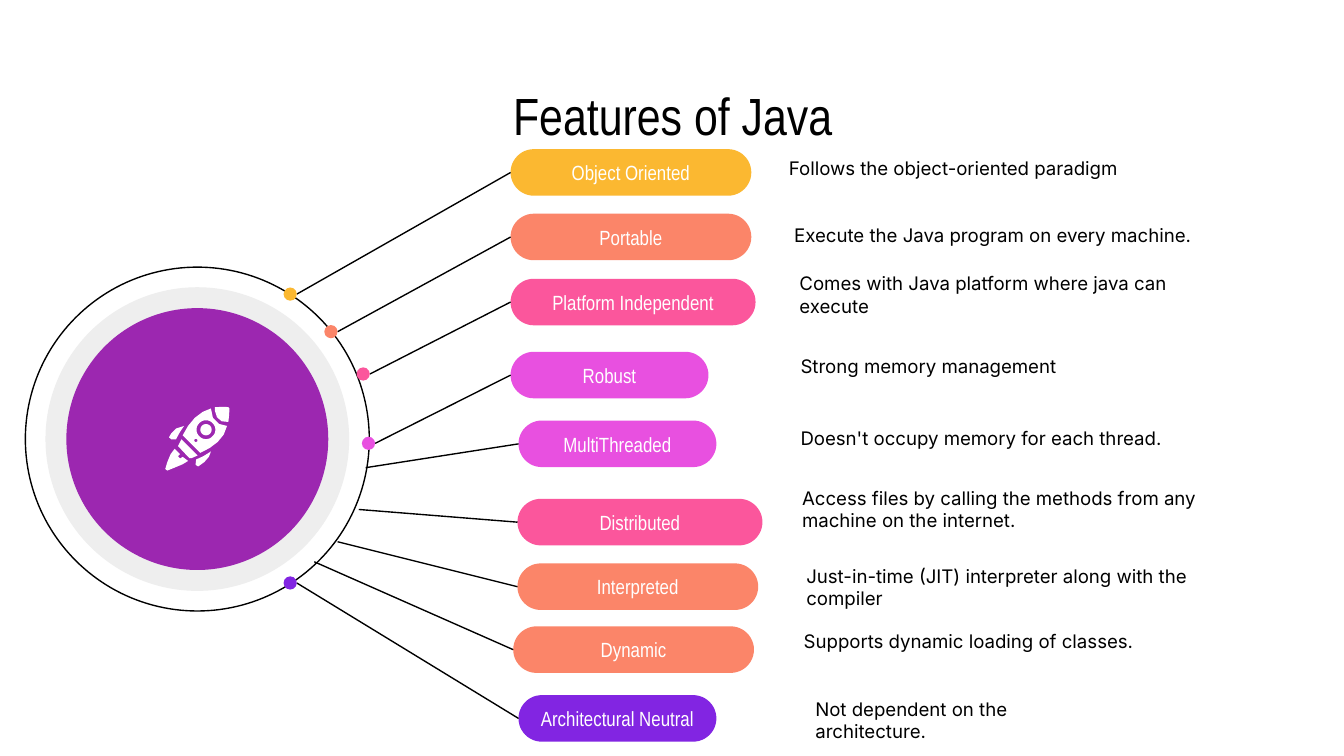
from dataclasses import dataclass
from math import cos, pi, sin

from lxml.etree import SubElement
from pptx import Presentation
from pptx.dml.color import RGBColor
from pptx.enum.shapes import MSO_CONNECTOR as Connector, MSO_SHAPE as Shape
from pptx.enum.text import MSO_ANCHOR as Anchor, MSO_AUTO_SIZE as AutoSize, PP_ALIGN as Align
from pptx.oxml.ns import qn
from pptx.shapes.autoshape import Shape as AutoShape
from pptx.slide import Slide
from pptx.text.text import TextFrame
from pptx.util import Cm, Pt

BLACK = RGBColor(0x00, 0x00, 0x00)
WHITE = RGBColor(0xFF, 0xFF, 0xFF)
GREY = RGBColor(0xEE, 0xEE, 0xEE)
PURPLE = RGBColor(0x9C, 0x27, 0xB0)
YELLOW = RGBColor(0xFB, 0xB8, 0x31)
CORAL = RGBColor(0xFB, 0x85, 0x69)
PINK = RGBColor(0xFB, 0x56, 0x9C)
MAGENTA = RGBColor(0xE8, 0x50, 0xE0)
VIOLET = RGBColor(0x82, 0x25, 0xE2)

HEADING_FONT = "Arial Narrow"
BODY_FONT = "Inter"
PILL_HEIGHT = 0.88
DOT_SIZE = 0.25
HUB_CENTER = (3.73, 8.3)
ROCKET_UNIT = Cm(2.54) / 1000

Point = tuple[float, float]
Box = tuple[float, float, float, float]
Contour = list[Point]


@dataclass
class Feature:
    name: str
    color: RGBColor
    pill: tuple[float, float, float]
    hub_point: Point
    has_dot: bool
    description: str
    description_box: Box


FEATURES = [
    Feature("Object Oriented", YELLOW, (9.65, 2.82, 4.55), (5.61, 5.56), True,
            "Follows the object-oriented paradigm", (14.66, 2.97, 8.28, 0.41)),
    Feature("Portable", CORAL, (9.65, 4.04, 4.55), (6.38, 6.27), True,
            "Execute the Java program on every machine.", (14.76, 4.24, 8.28, 0.41)),
    Feature("Platform Independent", PINK, (9.65, 5.27, 4.63), (6.99, 7.07), True,
            "Comes with Java platform where java can execute", (14.86, 5.36, 8.59, 0.41)),
    Feature("Robust", MAGENTA, (9.65, 6.65, 3.74), (7.09, 8.38), True,
            "Strong memory management", (14.88, 6.55, 5.79, 0.74)),
    Feature("MultiThreaded", MAGENTA, (9.8, 7.95, 3.74), (6.91, 8.84), False,
            "Doesn't occupy memory for each thread.", (14.88, 7.82, 8.59, 0.91)),
    Feature("Distributed", PINK, (9.78, 9.43, 4.63), (6.78, 9.63), False,
            "Access files by calling the methods from any machine on the internet.",
            (14.91, 9.17, 8.59, 0.91)),
    Feature("Interpreted", CORAL, (9.78, 10.65, 4.55), (6.38, 10.24), False,
            "Just-in-time (JIT) interpreter along with the compiler",
            (14.99, 10.64, 9.17, 0.91)),
    Feature("Dynamic", CORAL, (9.7, 11.84, 4.55), (5.94, 10.62), False,
            "Supports dynamic loading of classes.", (14.94, 11.66, 9.17, 0.91)),
    Feature("Architectural Neutral", VIOLET, (9.8, 13.14, 3.74), (5.61, 11.02), True,
            "Not dependent on the architecture.", (15.16, 13.06, 5.69, 1.1)),
]


def circle(center: Point, radius: float) -> Contour:
    x, y = center
    angles = [2 * pi * step / 32 for step in range(32)]
    return [(x + radius * cos(angle), y + radius * sin(angle)) for angle in angles]


WINDOW_CENTER = (1533, 3198)
NOSE = [(1600, 3030), (1670, 3027), (1700, 3030), (1708, 3040), (1705, 3090),
        (1700, 3140), (1650, 3135), (1615, 3105), (1600, 3060)]
BODY = [(1570, 3040), (1510, 3065), (1450, 3110), (1400, 3170), (1360, 3240), (1490, 3370),
        (1560, 3335), (1620, 3290), (1665, 3235), (1690, 3170), (1630, 3155), (1585, 3110)]
BAND = [(1350, 3270), (1325, 3320), (1410, 3410), (1425, 3410), (1470, 3390)]
LOWER_FIN = [(1570, 3360), (1515, 3395), (1460, 3420), (1455, 3460), (1475, 3472),
             (1520, 3440), (1555, 3400)]
UPPER_FIN = [(1370, 3170), (1310, 3190), (1275, 3225), (1258, 3255), (1275, 3270),
             (1310, 3270), (1340, 3215)]
FLAME = [(1300, 3340), (1270, 3380), (1245, 3440), (1230, 3490), (1245, 3502), (1300, 3480),
         (1360, 3455), (1400, 3430), (1360, 3400), (1340, 3412), (1325, 3395), (1340, 3380)]
ROCKET = [
    [NOSE],
    [BODY, circle(WINDOW_CENTER, 70), circle((1458, 3278), 12)],
    [circle(WINDOW_CENTER, 42)],
    [BAND],
    [LOWER_FIN],
    [UPPER_FIN],
    [FLAME],
]


def paint(shape: AutoShape, color: RGBColor) -> None:
    shape.shadow.inherit = False
    shape.fill.solid()
    shape.fill.fore_color.rgb = color
    shape.line.fill.background()


def write(frame: TextFrame, text: str, font_name: str, size: float,
          color: RGBColor, align: Align) -> None:
    frame.text = text
    frame.word_wrap = True
    frame.auto_size = AutoSize.NONE
    frame.vertical_anchor = Anchor.MIDDLE
    frame.margin_left = frame.margin_right = Cm(0.25)
    frame.margin_top = frame.margin_bottom = Cm(0.25)
    paragraph = frame.paragraphs[0]
    paragraph.alignment = align
    font = paragraph.runs[0].font
    font.name = font_name
    font.size = Pt(size)
    font.color.rgb = color


def add_disc(slide: Slide, center: Point, diameter: float, color: RGBColor) -> AutoShape:
    x, y = center
    disc = slide.shapes.add_shape(Shape.OVAL, Cm(x - diameter / 2), Cm(y - diameter / 2),
                                  Cm(diameter), Cm(diameter))
    paint(disc, color)
    return disc


def add_rocket(slide: Slide) -> None:
    group = slide.shapes.add_group_shape()
    for contours in ROCKET:
        builder = group.shapes.build_freeform(*contours[0][0], scale=ROCKET_UNIT)
        builder.add_line_segments(contours[0][1:])
        for contour in contours[1:]:
            builder.move_to(*contour[0])
            builder.add_line_segments(contour[1:])
        paint(builder.convert_to_shape(), WHITE)


def add_hub(slide: Slide) -> None:
    ring = add_disc(slide, HUB_CENTER, 6.5, WHITE)
    ring.fill.background()
    ring.line.color.rgb = BLACK
    ring.line.width = Pt(0.75)
    add_disc(slide, HUB_CENTER, 5.74, GREY)
    add_disc(slide, HUB_CENTER, 4.95, PURPLE)
    add_rocket(slide)


def add_feature(slide: Slide, feature: Feature) -> None:
    left, top, width = feature.pill
    pill = slide.shapes.add_shape(Shape.ROUNDED_RECTANGLE, Cm(left), Cm(top),
                                  Cm(width), Cm(PILL_HEIGHT))
    pill.adjustments[0] = 0.5
    paint(pill, feature.color)
    write(pill.text_frame, feature.name, HEADING_FONT, 11, WHITE, Align.CENTER)

    x, y = feature.hub_point
    connector = slide.shapes.add_connector(Connector.STRAIGHT, Cm(left),
                                           Cm(top + PILL_HEIGHT / 2), Cm(x), Cm(y))
    connector.begin_connect(pill, 1)
    connector.line.color.rgb = BLACK
    connector.line.width = Pt(0.75)
    SubElement(connector._element.spPr, qn("a:effectLst"))
    if feature.has_dot:
        add_disc(slide, (x - DOT_SIZE / 2, y), DOT_SIZE, feature.color)

    box = slide.shapes.add_textbox(*map(Cm, feature.description_box))
    write(box.text_frame, feature.description, BODY_FONT, 10, BLACK, Align.LEFT)


def main() -> None:
    presentation = Presentation()
    presentation.slide_width = Cm(25.4)
    presentation.slide_height = Cm(14.29)
    slide = presentation.slides.add_slide(presentation.slide_layouts[5])
    title = slide.shapes.title
    title.left, title.top, title.width, title.height = map(Cm, (1.98, 1.5, 21.46, 1.35))
    write(title.text_frame, "Features of Java", HEADING_FONT, 28, BLACK, Align.CENTER)
    add_hub(slide)
    for feature in FEATURES:
        add_feature(slide, feature)
    presentation.save("out.pptx")


if __name__ == "__main__":
    main()
